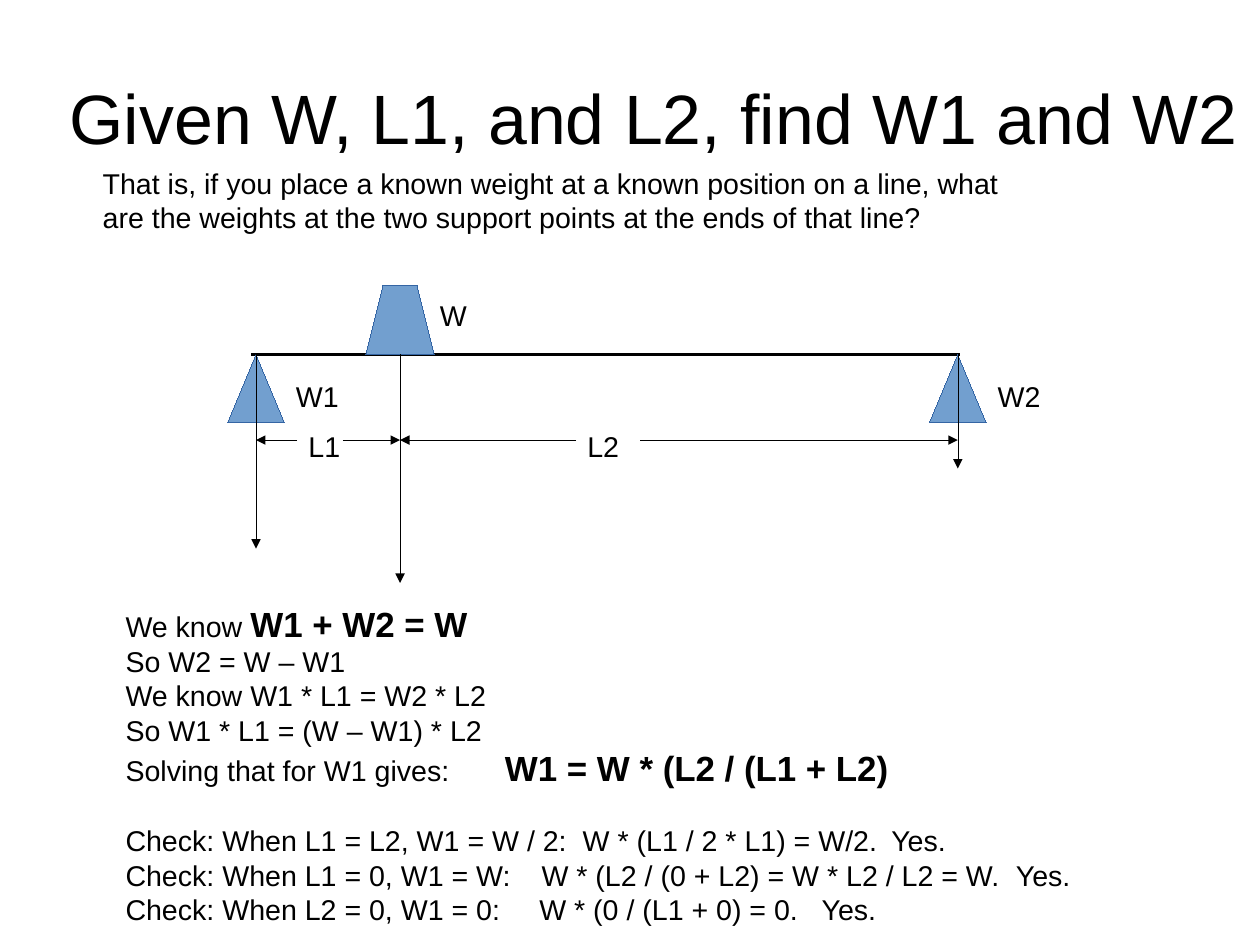
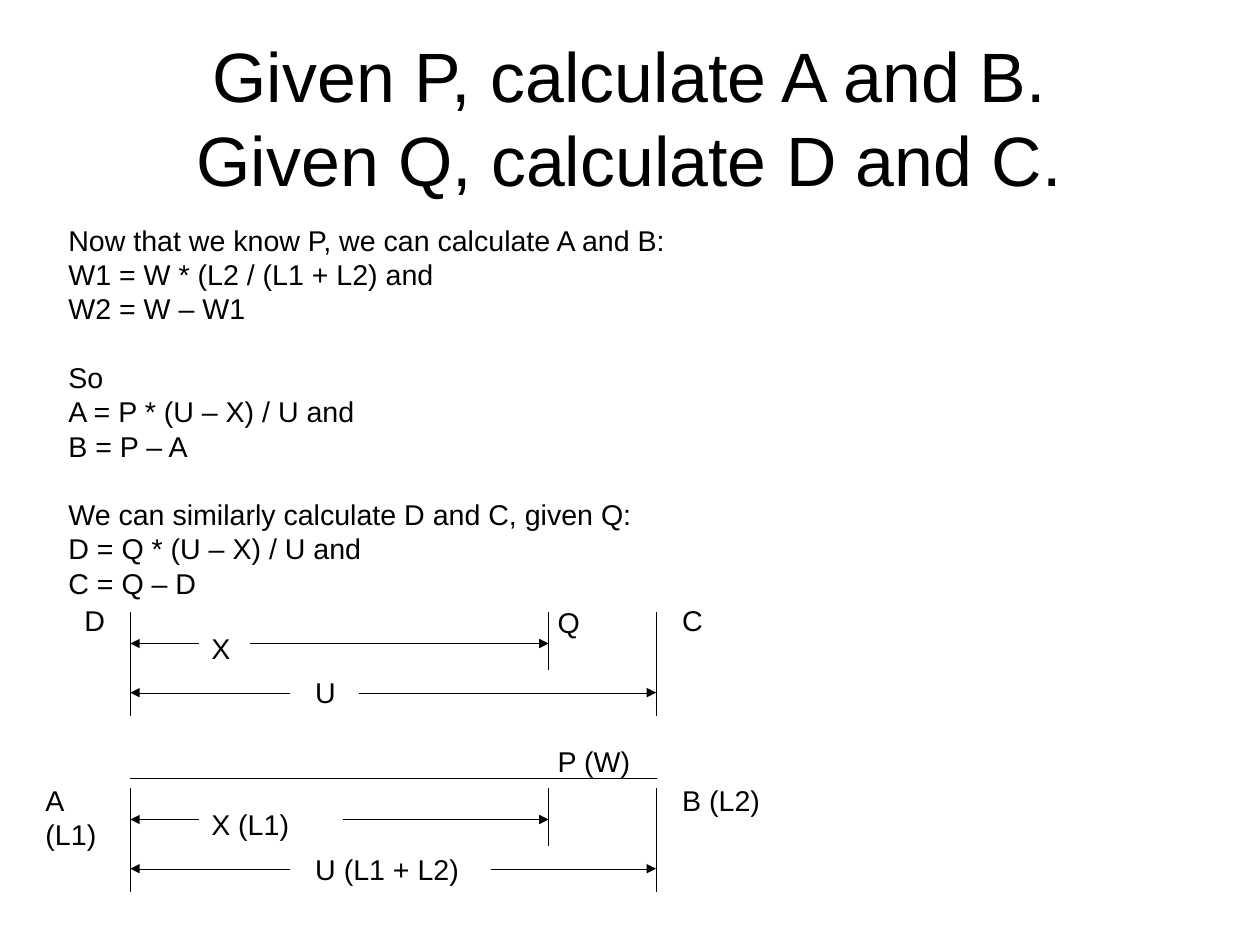
from lxml import etree
from pptx import Presentation
from pptx.dml.color import RGBColor
from pptx.enum.shapes import MSO_CONNECTOR, MSO_SHAPE
from pptx.enum.text import MSO_ANCHOR, MSO_AUTO_SIZE, PP_ALIGN
from pptx.oxml.ns import qn
from pptx.util import Inches, Pt

BLACK = RGBColor(0x00, 0x00, 0x00)
BLUE = RGBColor(0x72, 0x9F, 0xCF)
DARK_BLUE = RGBColor(0x34, 0x65, 0xA4)
STRAIGHT = MSO_CONNECTOR.STRAIGHT
TRIANGLE, TRAPEZOID = MSO_SHAPE.ISOSCELES_TRIANGLE, MSO_SHAPE.TRAPEZOID
TOP, BOTTOM = 0, 2
TITLE_ONLY = 5
FONT = "Arial"
TITLE_SIZE, BODY_SIZE, FORMULA_SIZE = 44, 18, 22
HAIRLINE = 0.01
GROUP_GAP = Pt(21.6)
CM_PER_INCH = 2.54


class Deck:
    def __init__(self, prs):
        self.prs = prs
        self.s = None

    def style(self, r, size=BODY_SIZE, bold=False):
        r.font.name, r.font.size, r.font.bold = FONT, Pt(size), bold
        r.font.color.rgb = BLACK

    def slide(self, title, width):
        self.s = self.prs.slides.add_slide(self.prs.slide_layouts[TITLE_ONLY])
        sp = self.s.shapes.title
        sp.left, sp.top, sp.width, sp.height = map(Inches, (0.55, 0.33, width, 1.38))
        tf = sp.text_frame
        tf.text = title
        tf.word_wrap, tf.auto_size = True, MSO_AUTO_SIZE.NONE
        tf.vertical_anchor = MSO_ANCHOR.MIDDLE
        tf.margin_left = tf.margin_right = tf.margin_top = tf.margin_bottom = 0
        p = tf.paragraphs[0]
        p.alignment = PP_ALIGN.CENTER
        for r in p.runs:
            self.style(r, TITLE_SIZE)

    def text(self, x, y, w, h, *groups):
        """Add groups of lines with a gap between groups.

        A line is a string, or a string followed by its tab stops in inches.
        What follows "|" in a line is a bold formula.
        """
        sp = self.s.shapes.add_textbox(*map(Inches, (x, y, w, h)))
        tf = sp.text_frame
        tf.word_wrap = True
        p = None
        for group in groups:
            for i, line in enumerate(group):
                content, *stops = [line] if isinstance(line, str) else line
                first = p is None
                p = tf.paragraphs[0] if first else tf.add_paragraph()
                if stops:
                    self.tabs(p, stops)
                if i == 0 and not first:
                    p.space_before = GROUP_GAP
                for part, words in enumerate(content.split("|")):
                    r = p.add_run()
                    r.text = words
                    self.style(r, FORMULA_SIZE if part else BODY_SIZE, bool(part))

    def tabs(self, p, stops):
        tab_list = etree.SubElement(p._p.get_or_add_pPr(), qn("a:tabLst"))
        for stop in stops:
            etree.SubElement(tab_list, qn("a:tab"), pos=str(Inches(stop)), algn="l")

    def label(self, words, x, y, w=0.6):
        self.text(x, y, w, 0.38, [words])

    def shape(self, kind, x, y, w, h):
        sp = self.s.shapes.add_shape(kind, *map(Inches, (x, y, w, h)))
        sp.shadow.inherit = False
        sp.fill.solid()
        sp.fill.fore_color.rgb = BLUE
        sp.line.color.rgb, sp.line.width = DARK_BLUE, Pt(HAIRLINE)
        return sp

    def line(self, x1, y1, x2, y2, width=HAIRLINE, arrow=False):
        ln = self.s.shapes.add_connector(STRAIGHT, *map(Inches, (x1, y1, x2, y2)))
        ln.line.color.rgb, ln.line.width = BLACK, Pt(width)
        if arrow:
            etree.SubElement(ln.line._get_or_add_ln(), qn("a:tailEnd"), type="triangle")
        etree.SubElement(ln._element.spPr, qn("a:effectLst"))
        return ln

    def force(self, sp, site, x, y, length):
        """Draw a downward arrow that starts at a side of a shape."""
        self.line(x, y, x, y + length, arrow=True).begin_connect(sp, site)

    def dimension(self, y, start, end, gap, words, label_at, label_width=0.6):
        """Draw arrows from a gap out to both ends, with a label in the gap."""
        self.line(gap[0], y, start, y, arrow=True)
        self.line(gap[1], y, end, y, arrow=True)
        self.label(words, *label_at, label_width)


def lever_slide(deck):
    deck.slide("Given W, L1, and L2, find W1 and W2", 10.35)
    deck.text(0.8, 1.4, 8.1, 0.66, [
        "That is, if you place a known weight at a known position on a line, "
        "what are the weights at the two support points at the ends of that line?"])
    beam_y, left, load, right = 3.1, 2.24, 3.5, 8.38
    deck.line(2.2, beam_y, 8.4, beam_y, 2.3)
    weight = deck.shape(TRAPEZOID, load - 0.3, beam_y - 0.6, 0.6, 0.6)
    weight.adjustments[0] = 0.25
    deck.label("W", 3.75, 2.56)
    deck.force(weight, BOTTOM, load, beam_y, 2)
    for words, x, length in (("W1", left, 1.7), ("W2", right, 1)):
        support = deck.shape(TRIANGLE, x - 0.25, beam_y, 0.5, 0.6)
        deck.force(support, TOP, x, beam_y, length)
        deck.label(words, x + 0.25, 3.27)
    deck.dimension(3.85, left, load, (2.6, 3), "L1", (2.6, 3.7))
    deck.dimension(3.85, load, right, (5.04, 5.6), "L2", (5.04, 3.7))
    deck.text(1, 5.22, 9, 2.74, [
        "We know |W1 + W2 = W",
        "So W2 = W – W1",
        "We know W1 * L1 = W2 * L2",
        "So W1 * L1 = (W – W1) * L2",
        ("Solving that for W1 gives:\t|W1 = W * (L2 / (L1 + L2)", 3.32),
    ], [
        ("Check: When L1 = L2, W1 = W / 2:\tW * (L1 / 2 * L1) = W/2.\tYes.", 4, 6.7),
        ("Check: When L1 = 0, W1 = W:\tW * (L2 / (0 + L2) = W * L2 / L2 = W.\tYes.",
         3.64, 7.79),
        ("Check: When L2 = 0, W1 = 0:\tW * (0 / (L1 + 0) = 0.\tYes.", 3.62, 6.09),
    ])


def corner_slide(deck):
    deck.slide("Given P, calculate A and B.\vGiven Q, calculate D and C.", 9.92)
    deck.text(0.5, 1.9, 9.6, 3.4, [
        "Now that we know P, we can calculate A and B:",
        "W1 = W * (L2 / (L1 + L2) and",
        "W2 = W – W1",
    ], [
        "So",
        "A = P * (U – X) / U and",
        "B = P – A",
    ], [
        "We can similarly calculate D and C, given Q:",
        "D = Q * (U – X) / U and",
        "C = Q – D",
    ])
    left, load, right = 1.14, 4.8, 5.74
    for top, x_words, x_gap_end, u_words, u_gap_end in (
            (5.36, "X", 2.19, "U", 3.14),
            (6.9, "X (L1)", 3, "U (L1 + L2)", 4.3)):
        for x, length in ((left, 0.9), (load, 0.5), (right, 0.9)):
            deck.line(x, top, x, top + length)
        deck.dimension(top + 0.27, left, load, (1.74, x_gap_end),
                       x_words, (1.75, top + 0.11), 0.95)
        deck.dimension(top + 0.7, left, right, (2.54, u_gap_end),
                       u_words, (2.66, top + 0.5), 1.54)
    deck.line(left, 6.81, right, 6.81)
    deck.label("D", 0.64, 5.23, 0.4)
    deck.label("Q", 4.78, 5.24)
    deck.label("C", 5.87, 5.23)
    deck.text(0.3, 6.8, 0.7, 0.66, ["A", "(L1)"])
    deck.label("P (W)", 4.78, 6.46, 0.95)
    deck.label("B (L2)", 5.87, 6.8, 1.03)


def main():
    prs = Presentation()
    prs.slide_width = Inches(28 / CM_PER_INCH)
    prs.slide_height = Inches(21 / CM_PER_INCH)
    deck = Deck(prs)
    lever_slide(deck)
    corner_slide(deck)
    prs.save("out.pptx")


if __name__ == "__main__":
    main()
